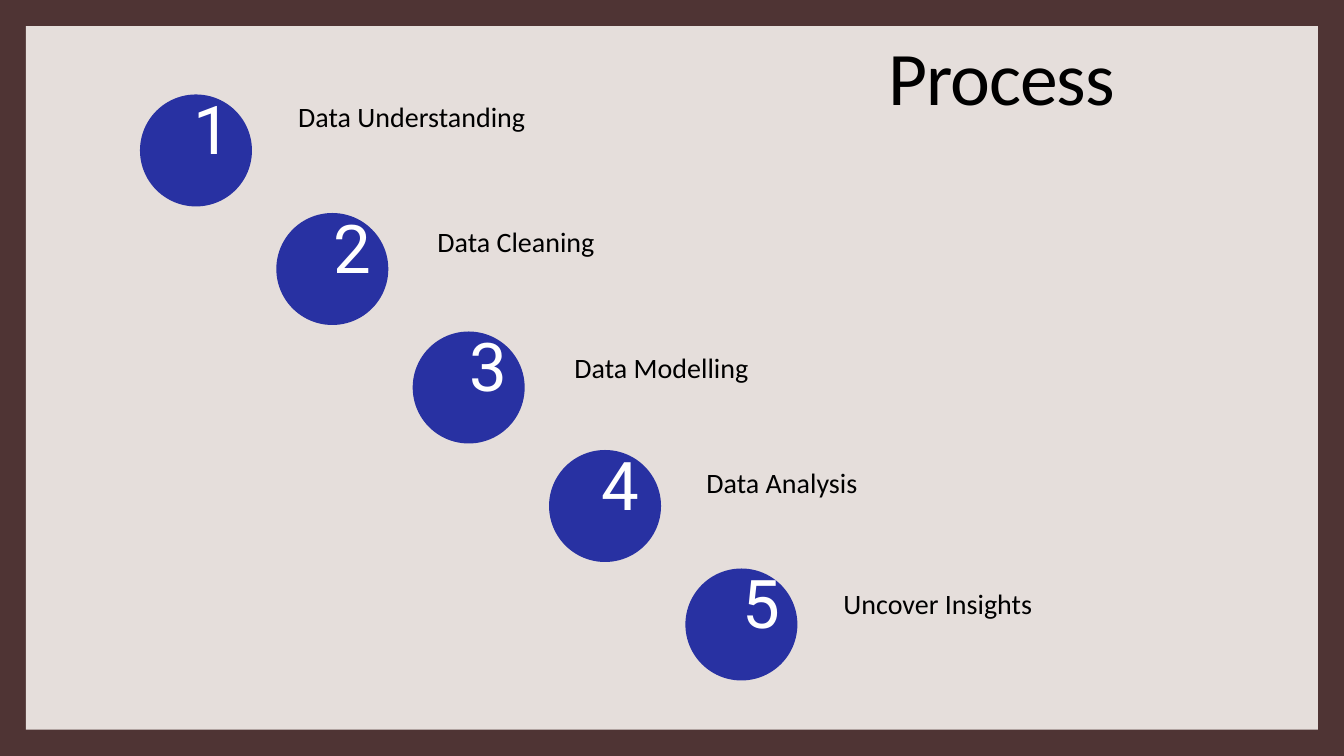
from dataclasses import dataclass

from pptx import Presentation
from pptx import util as u
from pptx.dml.color import RGBColor
from pptx.enum import shapes, text


@dataclass(frozen=True)
class Theme:
    border: str = "4F3434"
    panel: str = "E5DEDB"
    circle: str = "2831A2"
    ink: str = "000000"
    number: str = "FFFFFF"
    body_font: str = "Calibri"
    number_font: str = "Roboto"
    title_size: float = 54
    number_size: float = 48
    label_size: float = 20


def write_text(frame, content, *, font, size, color, align=text.PP_ALIGN.LEFT,
               line_height=None, tracking=None):
    paragraph = frame.paragraphs[0]
    paragraph.alignment = align
    if line_height:
        paragraph.line_spacing = u.Pt(line_height)
    run = paragraph.add_run()
    run.text = content
    run.font.name = font
    run.font.size = u.Pt(size)
    run.font.color.rgb = RGBColor.from_string(color)
    if tracking:
        # Letter spacing is stored in hundredths of a point
        run._r.get_or_add_rPr().set("spc", str(round(tracking * 100)))


class SlideBuilder:
    def __init__(self, slide, theme):
        self.slide = slide
        self.theme = theme

    def background(self, color):
        fill = self.slide.background.fill
        fill.solid()
        fill.fore_color.rgb = RGBColor.from_string(color)

    def filled_shape(self, kind, left, top, width, height, color):
        shape = self.slide.shapes.add_shape(
            kind, u.Pt(left), u.Pt(top), u.Pt(width), u.Pt(height))
        shape.shadow.inherit = False
        shape.fill.solid()
        shape.fill.fore_color.rgb = RGBColor.from_string(color)
        shape.line.fill.background()

    def text_box(self, content, left, top, width, height, *, inset=True, **style):
        box = self.slide.shapes.add_textbox(
            u.Pt(left), u.Pt(top), u.Pt(width), u.Pt(height))
        frame = box.text_frame
        frame.word_wrap = True
        frame.auto_size = text.MSO_AUTO_SIZE.SHAPE_TO_FIT_TEXT
        if not inset:
            frame.margin_left = frame.margin_right = 0
            frame.margin_top = frame.margin_bottom = 0
        write_text(frame, content, **style)

    def title(self, content):
        self.text_box(content, 622, 22.3, 174.2, 64.8, inset=False,
                      font=self.theme.body_font, size=self.theme.title_size,
                      color=self.theme.ink, align=text.PP_ALIGN.RIGHT,
                      line_height=64, tracking=-0.8)

    def circle(self, left, top, diameter):
        self.filled_shape(shapes.MSO_SHAPE.OVAL, left, top, diameter, diameter,
                          self.theme.circle)

    def number(self, content, left, top):
        self.text_box(content, left, top, 64.8, 48, inset=False,
                      font=self.theme.number_font, size=self.theme.number_size,
                      color=self.theme.number, line_height=48, tracking=-4.3)

    def label(self, content, left, top):
        self.text_box(content, left, top, 220, 31.7, font=self.theme.body_font,
                      size=self.theme.label_size, color=self.theme.ink)


# Step name, number left, label left and top
STEPS = [
    ("Data Understanding", 138.2, 205.9, 67.7),
    ("Data Cleaning", 238.3, 305.3, 157),
    ("Data Modelling", 335.5, 403.2, 247),
    ("Data Analysis", 429.8, 497.5, 329),
    ("Uncover Insights", 530.6, 595.4, 415.4),
]
FIRST_LEFT, FIRST_TOP = 100, 67.5
STEP_RIGHT, STEP_DOWN = 97.4, 84.65
DIAMETER = 80


def main():
    presentation = Presentation()
    presentation.slide_width = u.Pt(960)
    presentation.slide_height = u.Pt(540)
    slide = presentation.slides.add_slide(presentation.slide_layouts[6])
    theme = Theme()
    builder = SlideBuilder(slide, theme)

    # Frame and panel
    builder.background(theme.border)
    builder.filled_shape(shapes.MSO_SHAPE.RECTANGLE, 18.6, 18.6, 922.8, 502.6,
                         theme.panel)

    # Title
    builder.title("Process")

    # Staircase of numbered steps
    for index, (name, number_left, label_left, label_top) in enumerate(STEPS):
        top = FIRST_TOP + index * STEP_DOWN
        builder.circle(FIRST_LEFT + index * STEP_RIGHT, top, DIAMETER)
        builder.number(str(index + 1), number_left, top + 4.7)
        builder.label(name, label_left, label_top)

    presentation.save("out.pptx")


if __name__ == "__main__":
    main()
